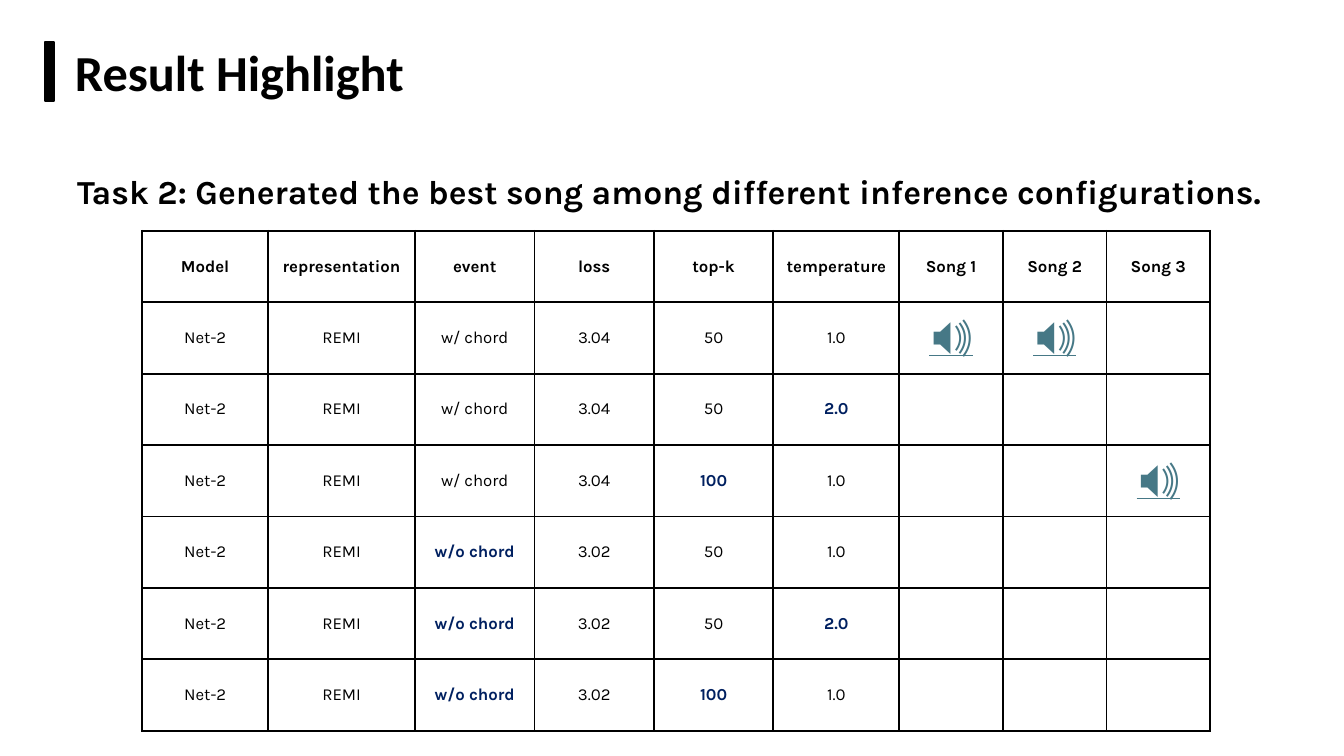
from lxml import etree
from pptx import Presentation
from pptx.dml.color import RGBColor
from pptx.enum.shapes import MSO_SHAPE
from pptx.enum.text import MSO_ANCHOR, PP_ALIGN
from pptx.oxml.ns import qn
from pptx.util import Pt

RECT = MSO_SHAPE.RECTANGLE
TOP, MIDDLE = MSO_ANCHOR.TOP, MSO_ANCHOR.MIDDLE
LEFT, CENTER = PP_ALIGN.LEFT, PP_ALIGN.CENTER
TITLE_ONLY = 5

BLACK = RGBColor(0x00, 0x00, 0x00)
WHITE = RGBColor(0xFF, 0xFF, 0xFF)
NAVY = RGBColor(0x00, 0x20, 0x60)
TEAL = RGBColor(0x46, 0x78, 0x86)

HEADERS = ["Model", "representation", "event", "loss", "top-k",
           "temperature", "Song 1", "Song 2", "Song 3"]
COL_WIDTHS = [90, 105, 85.3, 85.3, 85.3, 90, 74, 74, 74]
ROW_HEIGHT = 51.02
SPEAKER = "🔊"
MODEL = ["Net-2", "REMI"]
CONFIGS = [
    ["w/ chord", "3.04", "50", "1.0", SPEAKER, SPEAKER, ""],
    ["w/ chord", "3.04", "50", "2.0", "", "", ""],
    ["w/ chord", "3.04", "100", "1.0", "", "", SPEAKER],
    ["w/o chord", "3.02", "50", "1.0", "", "", ""],
    ["w/o chord", "3.02", "50", "2.0", "", "", ""],
    ["w/o chord", "3.02", "100", "1.0", "", "", ""],
]
TUNED = ("event", "top-k", "temperature")


def write(tf, text, size=12, font="Karla", color=BLACK, bold=False,
          underline=False, align=CENTER, spacing=None):
    p = tf.paragraphs[0]
    p.alignment = align
    if spacing:
        p.line_spacing = spacing
    r = p.add_run()
    r.text = text
    f = r.font
    f.size, f.name, f.bold = Pt(size), font, bold
    f.underline = underline
    f.color.rgb = color


def add_title(s, x, y, w, h):
    # Title placeholder
    sp = s.shapes.title
    sp.left, sp.top, sp.width, sp.height = Pt(x), Pt(y), Pt(w), Pt(h)
    tf = sp.text_frame
    tf.word_wrap = True
    tf.vertical_anchor = TOP
    tf.margin_left = Pt(15.3)
    write(tf, "Result Highlight", size=36, font="Calibri", bold=True, align=LEFT)

    # Accent bar
    bar = s.shapes.add_shape(RECT, Pt(x - 5.8), Pt(y + 4), Pt(6), Pt(h - 8.6))
    bar.shadow.inherit = False
    bar.fill.solid()
    bar.fill.fore_color.rgb = BLACK
    bar.line.color.rgb = BLACK
    bar.line.width = Pt(1.5)


def add_task(s, x, y, w, h):
    tf = s.shapes.add_textbox(Pt(x), Pt(y), Pt(w), Pt(h)).text_frame
    tf.word_wrap = True
    write(tf, "Task 2: Generated the best song among different inference "
          "configurations.", size=24, bold=True, align=LEFT, spacing=1.5)


def add_borders(cell, width=1.5):
    tc_pr = cell._tc.get_or_add_tcPr()
    for i, side in enumerate(("lnL", "lnR", "lnT", "lnB")):
        ln = etree.Element(qn("a:" + side), w=str(Pt(width)))
        fill = etree.SubElement(ln, qn("a:solidFill"))
        etree.SubElement(fill, qn("a:srgbClr"), val=str(BLACK))
        tc_pr.insert(i, ln)


def cell_format(row, col, text):
    if row == 0:
        return {"bold": True}
    if text == SPEAKER:
        return {"size": 32, "color": TEAL, "underline": True}
    # Settings that differ from the first configuration stand out
    if HEADERS[col] in TUNED and text != CONFIGS[0][col - len(MODEL)]:
        return {"color": NAVY, "bold": True}
    return {}


def add_results(s, x, y):
    rows = [HEADERS] + [MODEL + config for config in CONFIGS]
    frame = s.shapes.add_table(len(rows), len(HEADERS), Pt(x), Pt(y),
                               Pt(sum(COL_WIDTHS)), Pt(ROW_HEIGHT * len(rows)))
    table = frame.table
    for column, width in zip(table.columns, COL_WIDTHS):
        column.width = Pt(width)
    for i, values in enumerate(rows):
        table.rows[i].height = Pt(ROW_HEIGHT)
        for j, text in enumerate(values):
            cell = table.cell(i, j)
            cell.fill.solid()
            cell.fill.fore_color.rgb = WHITE
            cell.vertical_anchor = MIDDLE
            if i == 0:
                cell.margin_left = cell.margin_right = Pt(6)
                cell.margin_top = cell.margin_bottom = Pt(6)
            add_borders(cell)
            if text:
                write(cell.text_frame, text, **cell_format(i, j, text))


def main():
    prs = Presentation()
    prs.slide_width, prs.slide_height = Pt(960), Pt(540)
    s = prs.slides.add_slide(prs.slide_layouts[TITLE_ONLY])
    add_task(s, 48, 104.4, 864, 46.8)
    add_title(s, 38.2, 26, 890, 51.1)
    add_results(s, 101.5, 164.9)
    prs.save("out.pptx")


if __name__ == "__main__":
    main()
